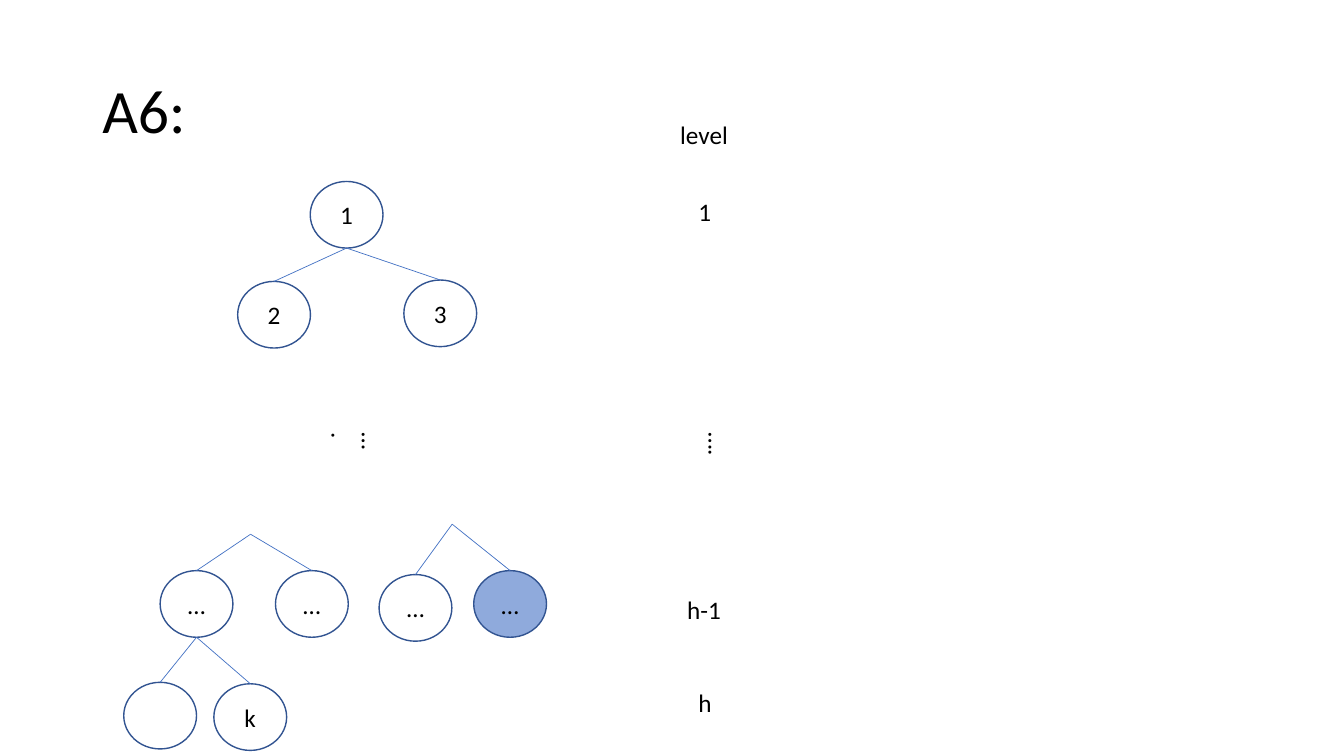
from dataclasses import dataclass
from lxml.etree import SubElement
from pptx import Presentation
from pptx.dml.color import RGBColor
from pptx.enum.shapes import MSO_CONNECTOR, MSO_SHAPE
from pptx.enum.text import MSO_ANCHOR, MSO_AUTO_SIZE, PP_ALIGN
from pptx.oxml.ns import qn
from pptx.util import Pt


@dataclass(frozen=True)
class Theme:
    font: str = "Calibri"
    title_size: int = 44
    body_size: int = 18
    ink: RGBColor = RGBColor(0x00, 0x00, 0x00)
    plain: RGBColor = RGBColor(0xFF, 0xFF, 0xFF)
    marked: RGBColor = RGBColor(0x8F, 0xAA, 0xDC)
    outline: RGBColor = RGBColor(0x32, 0x54, 0x91)
    branch: RGBColor = RGBColor(0x44, 0x72, 0xC4)


theme = Theme()


def write(frame, text, size=theme.body_size):
    frame.text = text
    paragraph = frame.paragraphs[0]
    font = paragraph.runs[0].font
    font.name, font.size = theme.font, Pt(size)
    font.color.rgb = theme.ink
    return paragraph


def add_label(left, top, width, height, text, wrap=False):
    frame = slide.shapes.add_textbox(Pt(left), Pt(top), Pt(width), Pt(height)).text_frame
    frame.word_wrap = wrap
    frame.auto_size = MSO_AUTO_SIZE.SHAPE_TO_FIT_TEXT
    write(frame, text)
    return frame


deck = Presentation()
deck.slide_width, deck.slide_height = Pt(960), Pt(540)
slide = deck.slides.add_slide(deck.slide_layouts[6])

# Title
title = slide.shapes.add_textbox(Pt(66), Pt(28.8), Pt(828), Pt(104.4)).text_frame
title.word_wrap = True
title.vertical_anchor = MSO_ANCHOR.MIDDLE
write(title, "A6:", theme.title_size).line_spacing = 0.9

# Tree nodes: left, top, text, fill
NODE_WIDTH, NODE_HEIGHT = 52, 47.6
node_table = {
    "root": (221.6, 129.6, "1", theme.plain),
    "left child": (169.8, 201, "2", theme.plain),
    "right child": (288.5, 200, "3", theme.plain),
    "parent of k": (114.4, 407.6, "…", theme.plain),
    "second": (196.8, 407.6, "…", theme.plain),
    "third": (270.8, 410.4, "…", theme.plain),
    "last": (338.4, 407.6, "…", theme.marked),
    "sibling of k": (88.4, 487.4, "", theme.plain),
    "k": (152.8, 488.4, "k", theme.plain),
}
nodes = {}
for key, (left, top, text, fill) in node_table.items():
    node = slide.shapes.add_shape(
        MSO_SHAPE.OVAL, Pt(left), Pt(top), Pt(NODE_WIDTH), Pt(NODE_HEIGHT))
    node.shadow.inherit = False
    node.fill.solid()
    node.fill.fore_color.rgb = fill
    node.line.color.rgb = theme.outline
    node.line.width = Pt(1)
    node.text_frame.vertical_anchor = MSO_ANCHOR.MIDDLE
    if text:
        write(node.text_frame, text).alignment = PP_ALIGN.CENTER
    nodes[key] = node

# Branches: from the foot of a parent, or from an open fork, to the top of each child
feet = {key: (left + NODE_WIDTH / 2, top + NODE_HEIGHT)
        for key, (left, top, _, _) in node_table.items()}
forks = [
    (feet["root"], ("left child", "right child")),
    ((179, 381.6), ("parent of k", "second")),
    ((323, 374.4), ("third", "last")),
    (feet["parent of k"], ("sibling of k", "k")),
]
for (x, y), children in forks:
    for child in children:
        branch = slide.shapes.add_connector(
            MSO_CONNECTOR.STRAIGHT, Pt(x), Pt(y), Pt(x), Pt(y))
        branch.end_connect(nodes[child], 0)
        branch.line.color.rgb = theme.branch
        branch.line.width = Pt(0.5)
        SubElement(branch.element.spPr, qn("a:effectLst"))

# Level column: left, top, width, text
for left, top, width, text in [
    (478.8, 81.4, 49, "level"),
    (491.8, 136.8, 23.8, "1"),
    (483.8, 421.2, 38.8, "h-1"),
    (491.8, 487.4, 23.8, "h"),
]:
    add_label(left, top, width, 29, text)

# Vertical dots for the levels left out
for left, height in [(244, 30.2), (491.8, 42.5)]:
    dots = add_label(left, 301.7, 36, height, "….", wrap=True)
    dots._txBody.bodyPr.set("vert", "eaVert")

deck.save("out.pptx")
